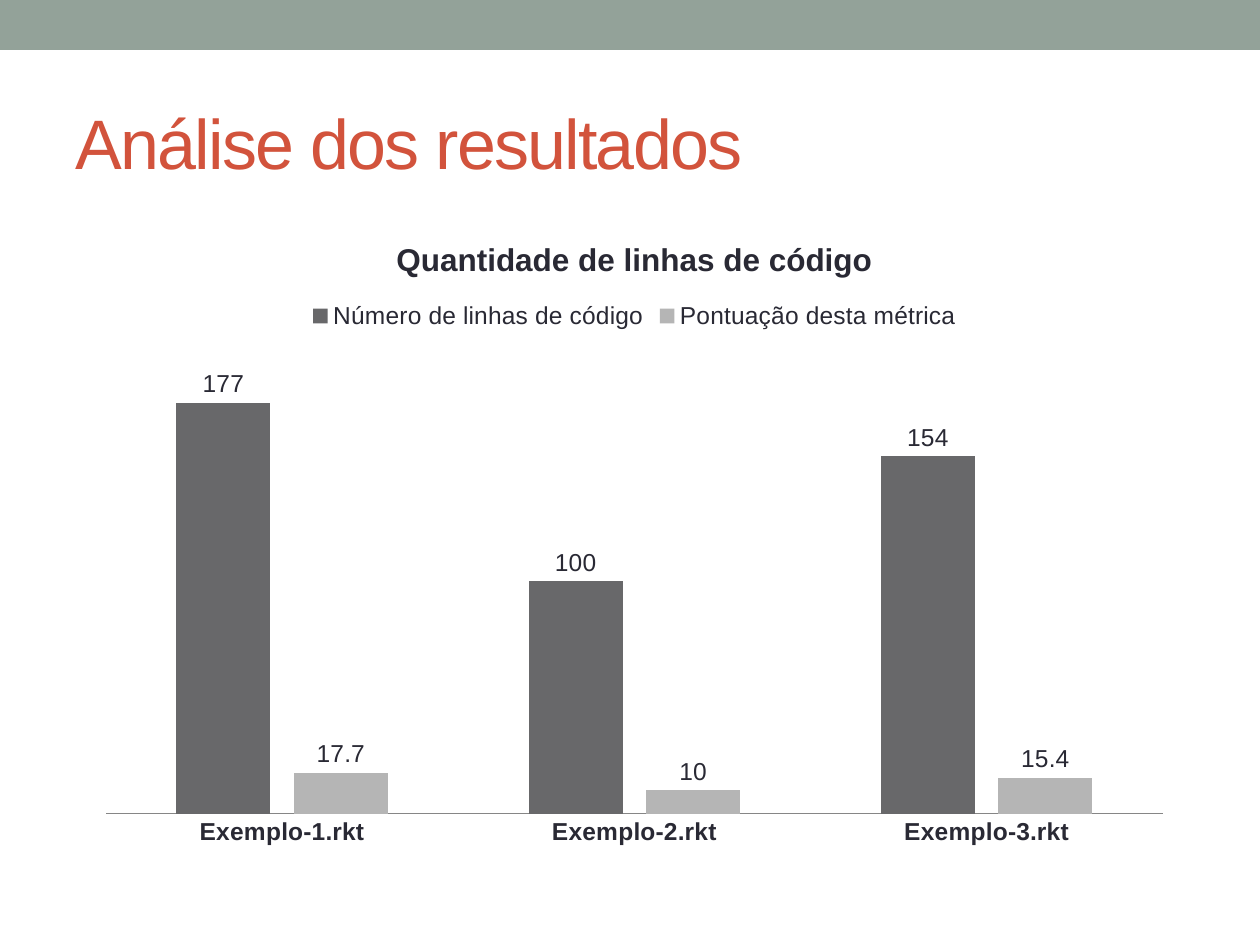
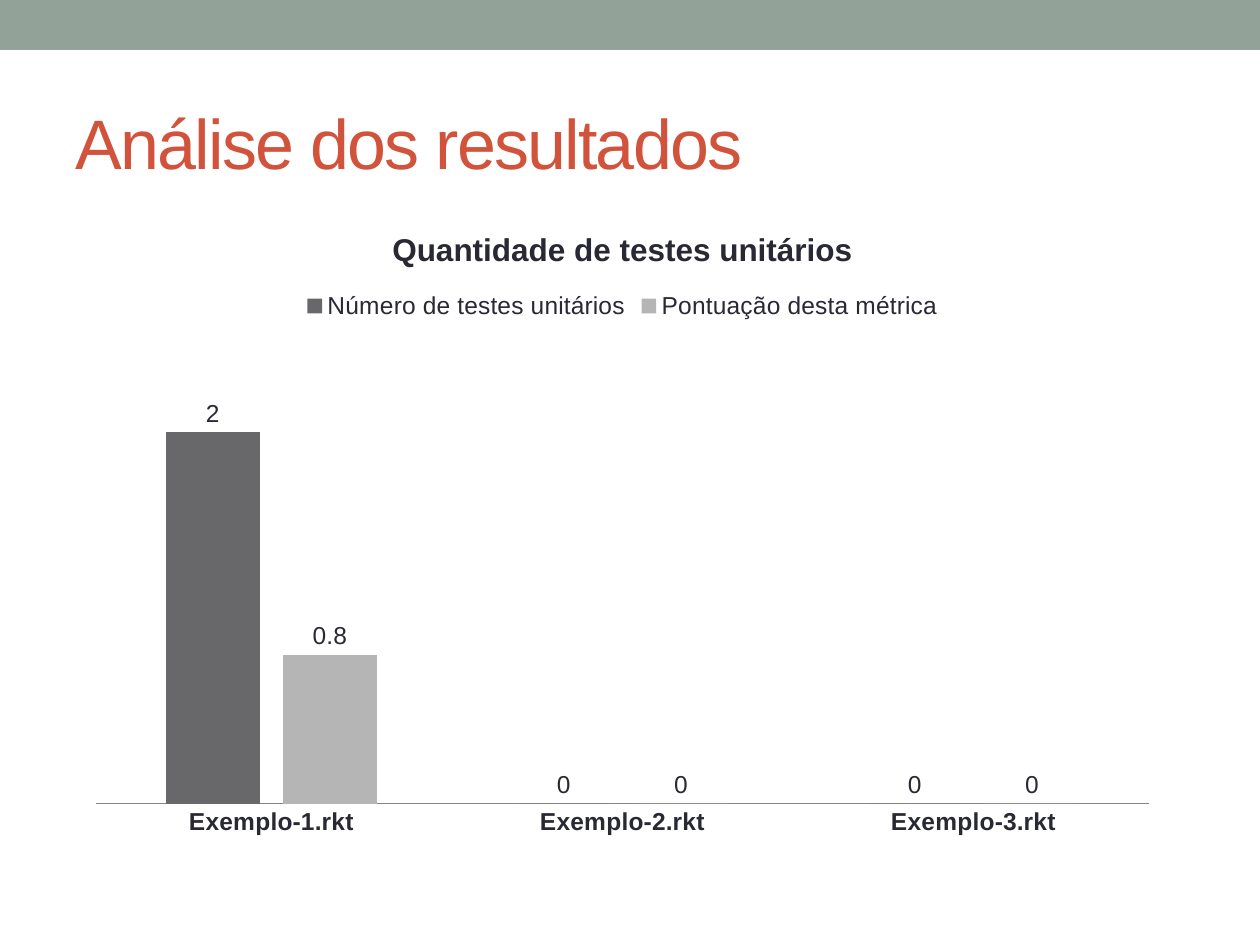
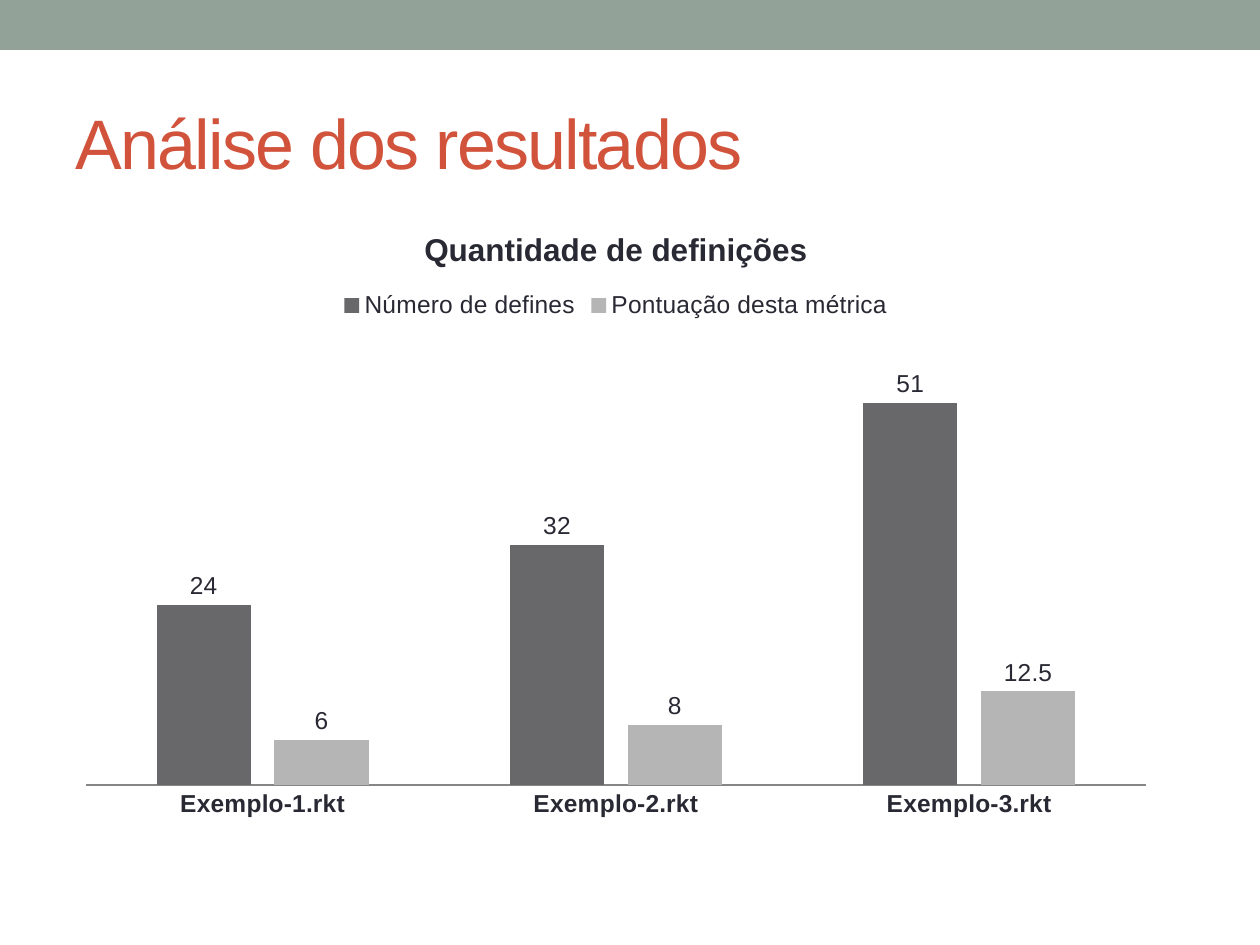
from pptx import Presentation
from pptx.chart.data import CategoryChartData
from pptx.dml.color import RGBColor
from pptx.enum.chart import (XL_CHART_TYPE as CT, XL_LABEL_POSITION as LP,
                             XL_LEGEND_POSITION as LEG, XL_TICK_MARK as TM)
from pptx.enum.shapes import MSO_SHAPE
from pptx.enum.text import MSO_ANCHOR
from pptx.oxml import parse_xml
from pptx.oxml.ns import nsdecls
from pptx.util import Pt

# Content
TITLE = "Análise dos resultados"
FILES = ["Exemplo-1.rkt", "Exemplo-2.rkt", "Exemplo-3.rkt"]
SCORE = "Pontuação desta métrica"
SLIDES = [
    dict(title="Quantidade de linhas de código", box=(84, 214, 1101, 645),
         top=200, metric="Número de linhas de código",
         values=[177, 100, 154], scores=[17.7, 10, 15.4]),
    dict(title="Quantidade de testes unitários", box=(74, 204, 1097, 645),
         top=2.5, metric="Número de testes unitários",
         values=[2, 0, 0], scores=[0.8, 0, 0]),
    dict(title="Quantidade de definições", box=(64, 204, 1104, 625),
         top=60, metric="Número de defines",
         values=[24, 32, 51], scores=[6, 8, 12.5]),
]

# Shared look
FONT = "Arial"
BAND, ACCENT, INK, AXIS = "93A299", "D2533C", "292934", "868686"
SERIES = ["68686A", "B5B5B5"]
PLOT = dict(x=0.02, y=0.21, w=0.96, h=0.72)  # share of the chart box
SCALE = 914400 // 126


def px(*lengths):
    return [n * SCALE for n in lengths]


def rgb(code):
    return RGBColor.from_string(code)


def style(font, size, color=INK, bold=False):
    font.name, font.size, font.bold = FONT, Pt(size), bold
    font.color.rgb = rgb(color)


def add_frame(s):
    # Top band
    band = s.shapes.add_shape(MSO_SHAPE.RECTANGLE, *px(0, 0, 1260, 50))
    band.shadow.inherit = False
    band.fill.solid()
    band.fill.fore_color.rgb = rgb(BAND)
    band.line.fill.background()
    # Slide title
    tf = s.shapes.add_textbox(*px(63, 73, 1134, 136)).text_frame
    tf.word_wrap = True
    tf.vertical_anchor = MSO_ANCHOR.MIDDLE
    tf.text = TITLE
    r = tf.paragraphs[0].runs[0]
    style(r.font, 40, ACCENT)
    r.font._element.set("spc", "-100")


def place_plot(chart):
    area = chart._chartSpace.chart.plotArea
    for old in area.findall("{*}layout"):
        area.remove(old)
    modes = "".join(f'<c:{k}Mode val="edge"/>' for k in "xy")
    sizes = "".join(f'<c:{k} val="{v}"/>' for k, v in PLOT.items())
    area.insert(0, parse_xml(
        f'<c:layout {nsdecls("c")}><c:manualLayout>'
        f'<c:layoutTarget val="inner"/>{modes}{sizes}'
        '</c:manualLayout></c:layout>'))


def add_columns(s, item):
    data = CategoryChartData()
    data.categories = FILES
    data.add_series(item["metric"], item["values"])
    data.add_series(SCORE, item["scores"])
    chart = s.shapes.add_chart(CT.COLUMN_CLUSTERED, *px(*item["box"]), data).chart
    style(chart.font, 10)

    # Title and legend
    tf = chart.chart_title.text_frame
    tf.text = item["title"]
    style(tf.paragraphs[0].runs[0].font, 18, bold=True)
    chart.chart_title.include_in_layout = False
    chart.has_legend = True
    chart.legend.position = LEG.TOP
    chart.legend.include_in_layout = False
    style(chart.legend.font, 14)

    # Axes
    cat, val = chart.category_axis, chart.value_axis
    cat.major_tick_mark = cat.minor_tick_mark = TM.NONE
    cat.format.line.color.rgb = rgb(AXIS)
    cat.format.line.width = Pt(0.75)
    style(cat.tick_labels.font, 14, bold=True)
    val.minimum_scale, val.maximum_scale = 0, item["top"]
    val.has_major_gridlines = False
    val.visible = False

    # Columns and their labels
    plot = chart.plots[0]
    plot.gap_width, plot.overlap = 150, -25
    plot.vary_by_categories = False
    for series, color in zip(plot.series, SERIES):
        series.format.fill.solid()
        series.format.fill.fore_color.rgb = rgb(color)
        labels = series.data_labels
        labels.show_value = True
        labels.position = LP.OUTSIDE_END
        style(labels.font, 14)
    place_plot(chart)


prs = Presentation()
prs.slide_width, prs.slide_height = px(1260, 945)
for item in SLIDES:
    s = prs.slides.add_slide(prs.slide_layouts[6])
    add_frame(s)
    add_columns(s, item)
prs.save("out.pptx")
